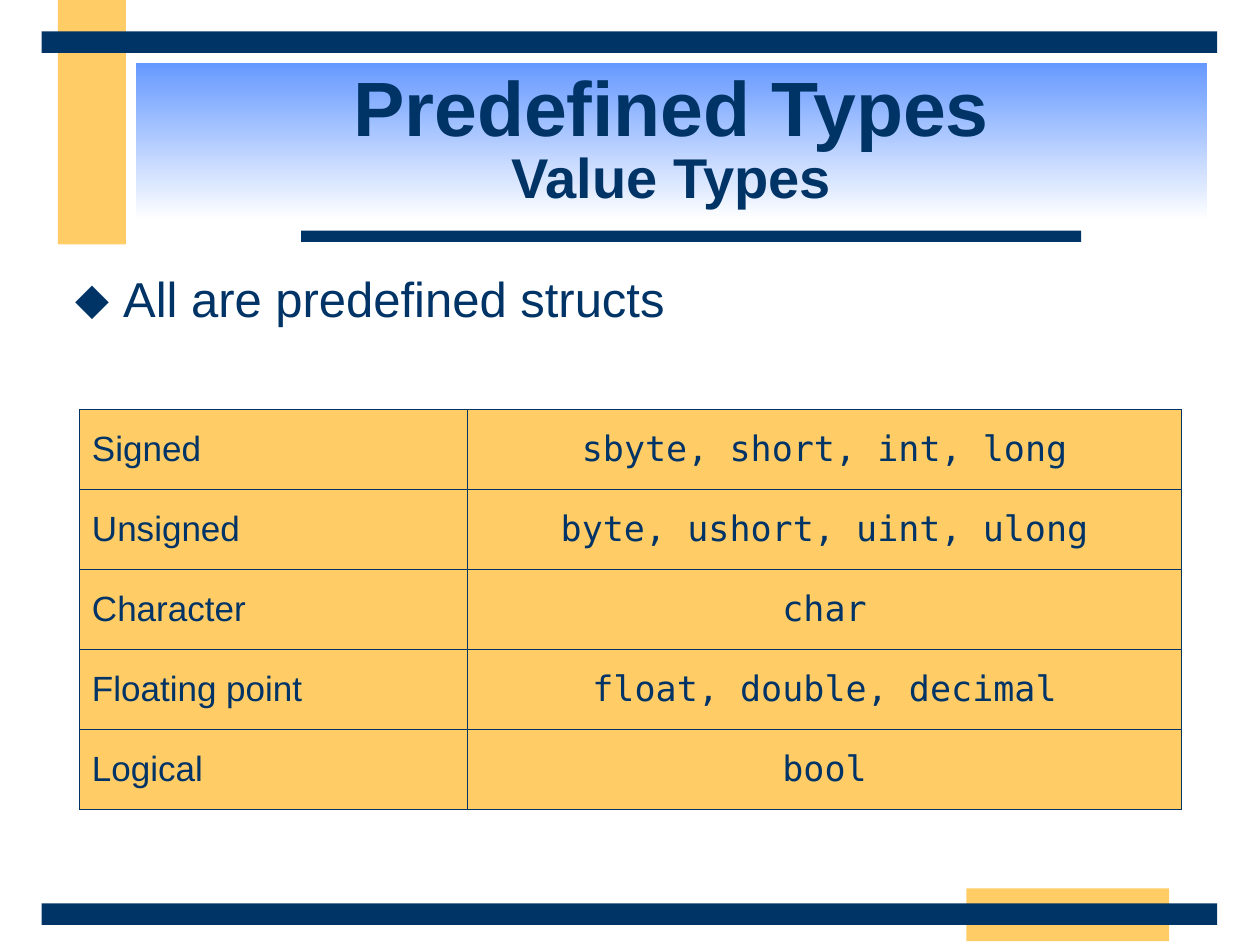
from lxml import etree
from pptx import Presentation
from pptx.dml.color import RGBColor
from pptx.enum.shapes import MSO_SHAPE
from pptx.enum.text import MSO_ANCHOR, PP_ALIGN
from pptx.oxml.ns import qn
from pptx.util import Inches, Pt

RECTANGLE = MSO_SHAPE.RECTANGLE
MIDDLE = MSO_ANCHOR.MIDDLE
LEFT, CENTER = PP_ALIGN.LEFT, PP_ALIGN.CENTER

NAVY = RGBColor(0x00, 0x33, 0x66)
GOLD = RGBColor(0xFF, 0xCC, 0x66)
BLUE = RGBColor(0x66, 0x99, 0xFF)
WHITE = RGBColor(0xFF, 0xFF, 0xFF)

SANS = "Arial"
MONO = "DejaVu Sans Mono"

# Decorative bars: left, top, width, height, colour
BARS = [
    (0.46, 0, 0.54, 1.94, GOLD),
    (7.67, 7.05, 1.61, 0.42, GOLD),
    (2.39, 1.83, 6.19, 0.09, NAVY),
    (0.33, 7.17, 9.33, 0.17, NAVY),
    (0.33, 0.25, 9.33, 0.17, NAVY),
]
TYPE_ROWS = [
    ("Signed", "sbyte, short, int, long"),
    ("Unsigned", "byte, ushort, uint, ulong"),
    ("Character", "char"),
    ("Floating point", "float, double, decimal"),
    ("Logical", "bool"),
]
COLUMN_WIDTHS = (3.08, 5.67)
COLUMN_STYLES = ((SANS, LEFT), (MONO, CENTER))
ROW_HEIGHT = 0.635


def add_rectangle(slide, left, top, width, height):
    shape = slide.shapes.add_shape(
        RECTANGLE, Inches(left), Inches(top), Inches(width), Inches(height))
    shape.shadow.inherit = False
    shape.line.fill.background()
    return shape


def add_bar(slide, left, top, width, height, color):
    shape = add_rectangle(slide, left, top, width, height)
    shape.fill.solid()
    shape.fill.fore_color.rgb = color


def add_run(paragraph, text, size, name=SANS, bold=False):
    run = paragraph.add_run()
    run.text = text
    font_values = {"size": Pt(size), "name": name, "bold": bold}
    for attribute, value in font_values.items():
        setattr(run.font, attribute, value)
    run.font.color.rgb = NAVY


def add_title(slide, title, subtitle):
    shape = add_rectangle(slide, 1.08, 0.5, 8.5, 1.25)
    shape.fill.gradient()
    shape.fill.gradient_angle = 270
    for stop, color in zip(shape.fill.gradient_stops, (BLUE, WHITE)):
        stop.color.rgb = color
    frame = shape.text_frame
    frame.vertical_anchor = MIDDLE
    paragraph = frame.paragraphs[0]
    paragraph.alignment = CENTER
    paragraph.line_spacing = 0.85
    add_run(paragraph, title, 44, bold=True)
    paragraph.add_line_break()
    add_run(paragraph, subtitle, 32, bold=True)


def add_bullet_text(slide, text):
    box = slide.shapes.add_textbox(
        Inches(0.5), Inches(2.08), Inches(9), Inches(4.92))
    box.text_frame.word_wrap = True
    paragraph = box.text_frame.paragraphs[0]
    # Hanging indent and diamond bullet
    properties = paragraph._p.get_or_add_pPr()
    properties.set("marL", str(Inches(0.38)))
    properties.set("indent", str(-Inches(0.38)))
    bullet_color = etree.SubElement(properties, qn("a:buClr"))
    etree.SubElement(bullet_color, qn("a:srgbClr"), val=str(NAVY))
    etree.SubElement(properties, qn("a:buSzPct"), val="115000")
    etree.SubElement(properties, qn("a:buFont"), typeface=MONO)
    etree.SubElement(properties, qn("a:buChar"), char="◆")
    add_run(paragraph, text, 28)


def set_borders(cell):
    properties = cell._tc.get_or_add_tcPr()
    for index, side in enumerate(("lnL", "lnR", "lnT", "lnB")):
        line = etree.Element(qn(f"a:{side}"), w=str(Pt(0.45)))
        fill = etree.SubElement(line, qn("a:solidFill"))
        etree.SubElement(fill, qn("a:srgbClr"), val=str(NAVY))
        properties.insert(index, line)


def format_cell(cell, text, font_name, alignment):
    cell.fill.solid()
    cell.fill.fore_color.rgb = GOLD
    cell.vertical_anchor = MIDDLE
    set_borders(cell)
    paragraph = cell.text_frame.paragraphs[0]
    paragraph.alignment = alignment
    add_run(paragraph, text, 20, font_name)


def add_type_table(slide):
    table = slide.shapes.add_table(
        len(TYPE_ROWS), len(COLUMN_WIDTHS), Inches(0.63), Inches(3.25),
        Inches(sum(COLUMN_WIDTHS)), Inches(ROW_HEIGHT * len(TYPE_ROWS))).table
    table.first_row = False
    table.horz_banding = False
    for column, width in zip(table.columns, COLUMN_WIDTHS):
        column.width = Inches(width)
    for row, texts in zip(table.rows, TYPE_ROWS):
        row.height = Inches(ROW_HEIGHT)
        for cell, text, style in zip(row.cells, texts, COLUMN_STYLES):
            format_cell(cell, text, *style)


def main():
    presentation = Presentation()
    presentation.slide_width = Inches(10)
    presentation.slide_height = Inches(7.5)
    slide = presentation.slides.add_slide(presentation.slide_layouts[6])

    # Frame of bars
    for bar in BARS:
        add_bar(slide, *bar)

    # Content
    add_title(slide, "Predefined Types", "Value Types")
    add_bullet_text(slide, "All are predefined structs")
    add_type_table(slide)

    presentation.save("out.pptx")


if __name__ == "__main__":
    main()
